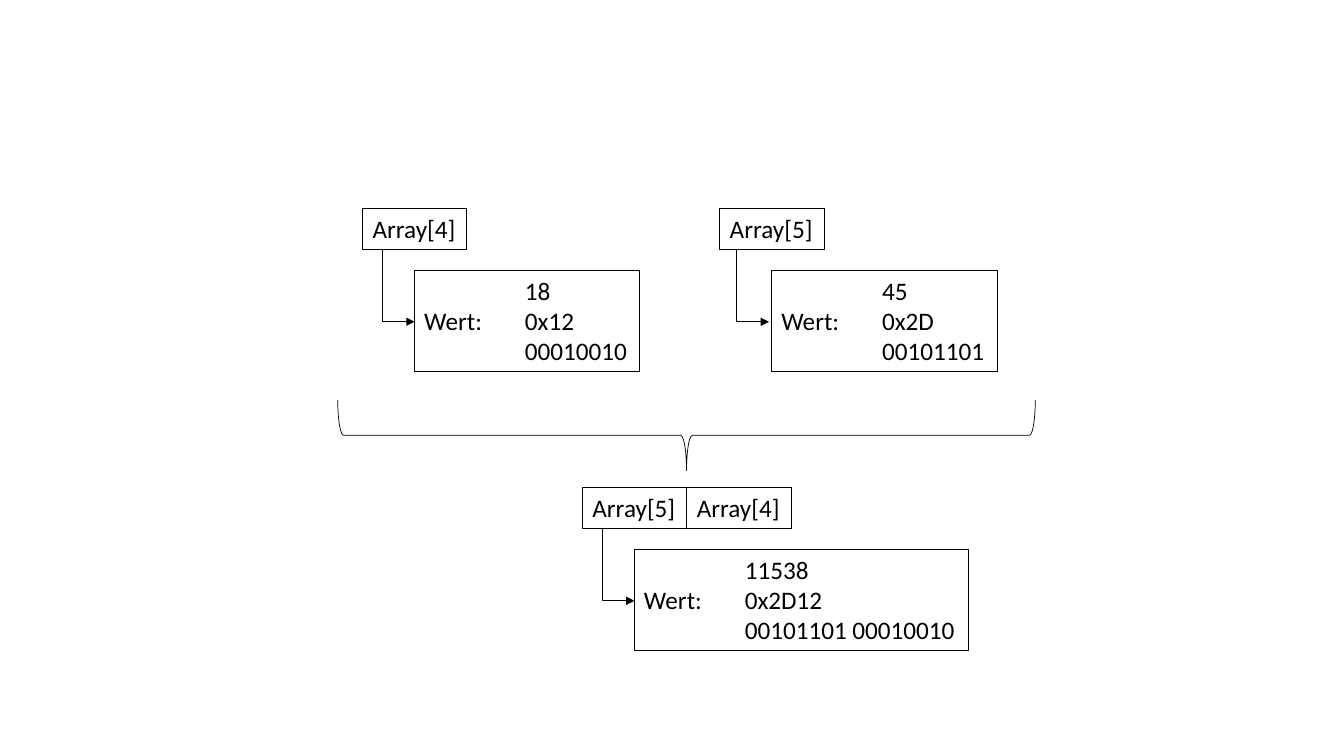
from lxml.etree import SubElement
from pptx import Presentation
from pptx.dml.color import RGBColor
from pptx.enum.shapes import MSO_CONNECTOR as Connector, MSO_SHAPE as Shape
from pptx.enum.text import MSO_AUTO_SIZE as AutoSize
from pptx.oxml.ns import qn
from pptx.util import Cm, Pt


def color(value):
    return RGBColor.from_string(value)


class Diagram:
    font = "Calibri"
    size = Pt(18)
    ink = "000000"
    cell_width = 2.63
    cell_height = 1.03

    def __init__(self, slide):
        self.shapes = slide.shapes

    def outline(self, element, width):
        element.line.color.rgb = color(self.ink)
        element.line.width = Pt(width)

    def box(self, left, top, width, height, lines):
        box = self.shapes.add_textbox(Cm(left), Cm(top), Cm(width), Cm(height))
        self.outline(box, 0.75)
        frame = box.text_frame
        frame.word_wrap = False
        frame.auto_size = AutoSize.SHAPE_TO_FIT_TEXT
        for index, line in enumerate(lines):
            paragraph = frame.add_paragraph() if index else frame.paragraphs[0]
            tabs = SubElement(paragraph._p.get_or_add_pPr(), qn("a:tabLst"))
            SubElement(tabs, qn("a:tab"), pos=str(Cm(2.54)), algn="l")
            run = paragraph.add_run()
            run.text = line
            run.font.name = self.font
            run.font.size = self.size
            run.font.color.rgb = color(self.ink)

    def bent_arrow(self, left, top, across=0.81, down=1.82):
        x = left + (across - down) / 2
        y = top + (down - across) / 2
        arrow = self.shapes.add_connector(
            Connector.ELBOW, Cm(x + down), Cm(y), Cm(x), Cm(y + across))
        self.outline(arrow, 0.5)
        properties = arrow._element.spPr
        properties.find(qn("a:xfrm")).set("rot", "16200000")
        properties.find(qn("a:prstGeom")).set("prst", "bentConnector2")
        SubElement(arrow.line._get_or_add_ln(), qn("a:tailEnd"), type="triangle")
        SubElement(properties, qn("a:effectLst"))

    def brace(self, left, top, width, height):
        brace = self.shapes.add_shape(
            Shape.RIGHT_BRACE, Cm(left), Cm(top), Cm(width), Cm(height))
        brace.rotation = 90
        brace.shadow.inherit = False
        brace.fill.background()
        self.outline(brace, 0.5)

    def entry(self, left, top, cells, values, value_width, arrow_inset=0.5):
        for index, cell in enumerate(cells):
            self.box(left + index * self.cell_width, top,
                     self.cell_width, self.cell_height, [cell])
        decimal, hexadecimal, binary = values
        self.box(left + 1.3, top + 1.55, value_width, 2.56,
                 [f"\t{decimal}", f"Wert:\t{hexadecimal}", f"\t{binary}"])
        self.bent_arrow(left + arrow_inset, top + self.cell_height)


def main():
    presentation = Presentation()
    presentation.slide_width = Cm(33.87)
    presentation.slide_height = Cm(19.05)
    diagram = Diagram(presentation.slides.add_slide(presentation.slide_layouts[6]))

    diagram.entry(9.14, 5.26, ["Array[4]"], ["18", "0x12", "00010010"], 5.69)
    diagram.entry(18.14, 5.26, ["Array[5]"], ["45", "0x2D", "00101101"], 5.69,
                  arrow_inset=0.43)
    diagram.brace(16.41, 2.18, 1.78, 17.58)
    diagram.entry(14.68, 12.29, ["Array[5]", "Array[4]"],
                  ["11538", "0x2D12", "00101101 00010010"], 8.43)

    presentation.save("out.pptx")


if __name__ == "__main__":
    main()
